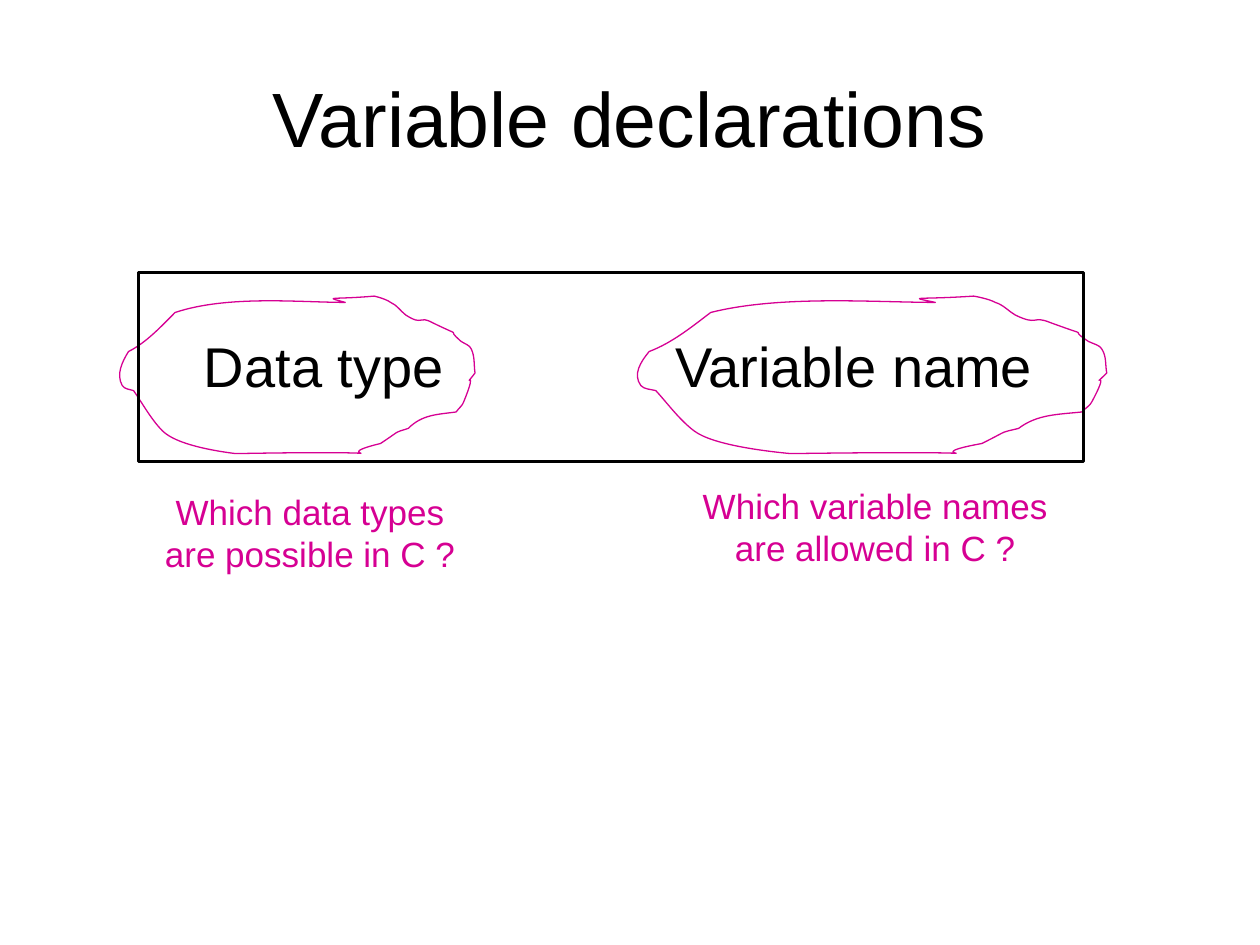
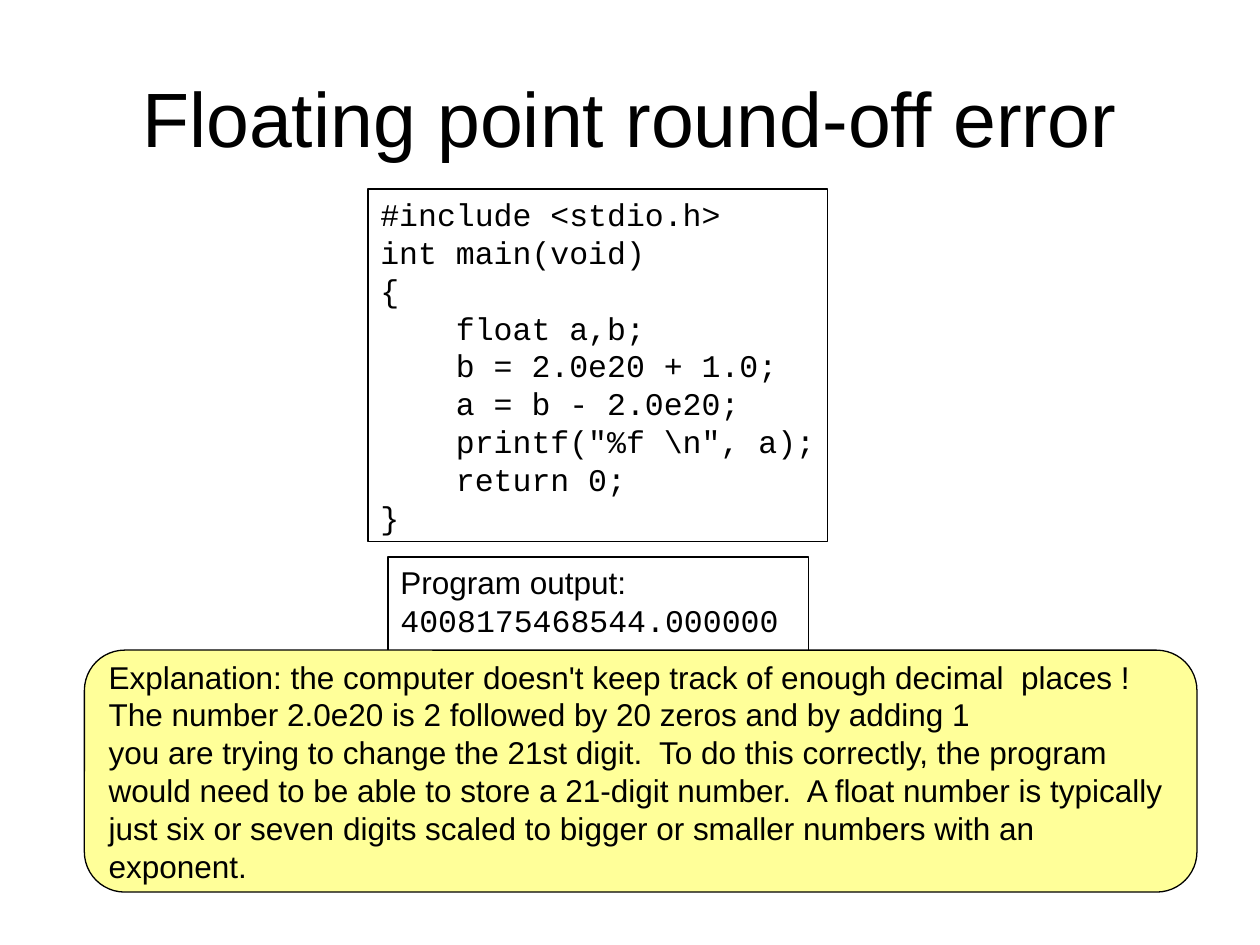
from lxml import etree
from pptx import Presentation
from pptx import util as u
from pptx.dml.color import RGBColor
from pptx.enum import shapes, text
from pptx.oxml import ns

COLORS = {"ink": "000000", "question": "D60093", "note": "FFFF99"}
SANS, MONO = "Arial", "Courier New"
TITLE_BOX = (0.5, 0.3, 9, 1.25)

# Slide 1
DECLARATION = "Data type\tVariable name"
DECLARATION_BOX = (1.52, 2.58, 7.42, 1.25)
NAME_TAB = 3.74
FRAME_BOX = (1.1, 2.16, 7.5, 1.5)
QUESTIONS = [
    (["Which data types ", "are possible in C ? "], (1.21, 3.84, 2.58, 0.77)),
    (["Which variable names ", "are allowed in C ? "], (5.48, 3.8, 3.01, 0.77)),
]
# Hand-drawn loop: start point, then (control, control, end) for each curve
LOOP_BOX = (0.92, 2.34, 2.9, 1.31)
LOOP_BOXES = [LOOP_BOX, (5.02, 2.34, 3.83, 1.31)]
LOOP_START = (2.74, 2.4)
LOOP_CURVES = [
    ((2.38, 2.4), (1.81, 2.34), (1.39, 2.48)),
    ((1.28, 2.59), (1.16, 2.72), (1.02, 2.79)),
    ((0.97, 2.87), (0.92, 2.97), (0.97, 3.06)),
    ((0.99, 3.09), (1.03, 3.09), (1.06, 3.1)),
    ((1.13, 3.2), (1.2, 3.33), (1.29, 3.42)),
    ((1.4, 3.53), (1.71, 3.58), (1.87, 3.6)),
    ((3.53, 3.57), (2.48, 3.65), (3.02, 3.52)),
    ((3.2, 3.4), (3.12, 3.44), (3.24, 3.4)),
    ((3.35, 3.29), (3.47, 3.29), (3.62, 3.27)),
    ((3.64, 3.24), (3.67, 3.22), (3.68, 3.19)),
    ((3.81, 2.87), (3.65, 3.12), (3.77, 2.96)),
    ((3.76, 2.9), (3.77, 2.83), (3.74, 2.77)),
    ((3.73, 2.74), (3.69, 2.73), (3.66, 2.71)),
    ((3.51, 2.58), (3.72, 2.7), (3.43, 2.56)),
    ((3.32, 2.5), (3.36, 2.59), (3.22, 2.5)),
    ((3.18, 2.47), (3.15, 2.42), (3.1, 2.4)),
    ((3.06, 2.37), (2.97, 2.35), (2.97, 2.35)),
    ((2.63, 2.38), (2.56, 2.35), (2.74, 2.4)),
]

# Slide 2
CODE = r"""#include <stdio.h>
int main(void)
{
    float a,b;
    b = 2.0e20 + 1.0;
    a = b - 2.0e20;
    printf("%f \n", a);
    return 0;
}""".split("\n")
CODE_BOX = (2.92, 1.5, 3.65, 2.8)
OUTPUT = ["Program output:", "4008175468544.000000"]
OUTPUT_BOX = (3.08, 4.42, 3.34, 1)
EXPLANATION = [
    "Explanation: the computer doesn't keep track of enough decimal  places ! "
    "The number 2.0e20 is 2 followed by 20 zeros and by adding 1",
    "you are trying to change the 21st digit.  To do this correctly, the program",
    "would need to be able to store a 21-digit number.  A float number is typically",
    "just six or seven digits scaled to bigger or smaller numbers with an exponent.",
]
EXPLANATION_BOX = (0.67, 5.16, 8.83, 1.92)


def inches(box):
    return [u.Inches(v) for v in box]


def rgb(name):
    return RGBColor.from_string(COLORS[name])


def write(sp, lines, size, fonts=(SANS,), color="ink", align="LEFT",
          anchor="TOP", wrap=True):
    """Fill sp with one paragraph per line; the last font serves the rest."""
    tf = sp.text_frame
    settings = {"word_wrap": wrap, "auto_size": text.MSO_AUTO_SIZE.NONE,
                "vertical_anchor": getattr(text.MSO_ANCHOR, anchor)}
    for key, value in settings.items():
        setattr(tf, key, value)
    for i, line in enumerate(lines):
        p = tf.paragraphs[0] if i == 0 else tf.add_paragraph()
        p.alignment = getattr(text.PP_ALIGN, align)
        r = p.add_run()
        r.text = line
        font = {"name": fonts[min(i, len(fonts) - 1)], "size": u.Pt(size)}
        for key, value in font.items():
            setattr(r.font, key, value)
        r.font.color.rgb = rgb(color)


def outline(sp, color, width, fill=None):
    sp.shadow.inherit = False
    sp.line.color.rgb = rgb(color)
    sp.line.width = u.Pt(width)
    if fill:
        sp.fill.solid()
        sp.fill.fore_color.rgb = rgb(fill)
    else:
        sp.fill.background()


def add_box(slide, box, width=0.75, fill=None, kind="RECTANGLE"):
    sp = slide.shapes.add_shape(getattr(shapes.MSO_SHAPE, kind), *inches(box))
    outline(sp, "ink", width, fill)
    return sp


def add_titled_slide(prs, title):
    slide = prs.slides.add_slide(prs.slide_layouts[5])
    sp = slide.shapes.title
    sp.left, sp.top, sp.width, sp.height = inches(TITLE_BOX)
    write(sp, [title], 44, align="CENTER", anchor="MIDDLE")
    return slide


def bend_segments(sp):
    """Turn each three line segments of a freeform into one Bezier curve."""
    segments = list(sp._element.iter(ns.qn("a:lnTo")))
    for i in range(0, len(segments), 3):
        curve = etree.Element(ns.qn("a:cubicBezTo"))
        segments[i].addprevious(curve)
        for segment in segments[i:i + 3]:
            curve.append(segment[0])
            segment.getparent().remove(segment)


def add_loop(slide, box):
    """Draw the loop stretched from LOOP_BOX to box."""
    x0, y0, w0, h0 = LOOP_BOX
    x, y, w, h = box
    points = [LOOP_START] + [point for curve in LOOP_CURVES for point in curve]
    start, *rest = [(u.Inches(x + (px - x0) * w / w0), u.Inches(y + (py - y0) * h / h0))
                    for px, py in points]
    builder = slide.shapes.build_freeform(*start)
    builder.add_line_segments(rest, close=True)
    sp = builder.convert_to_shape()
    bend_segments(sp)
    outline(sp, "question", 0.75)


def add_tab_stop(p, position):
    tabs = etree.SubElement(p._p.get_or_add_pPr(), ns.qn("a:tabLst"))
    etree.SubElement(tabs, ns.qn("a:tab"), pos=str(u.Inches(position)), algn="l")


def build_declarations(prs):
    slide = add_titled_slide(prs, "Variable declarations")
    sp = slide.shapes.add_textbox(*inches(DECLARATION_BOX))
    write(sp, [DECLARATION], 32)
    add_tab_stop(sp.text_frame.paragraphs[0], NAME_TAB)
    for (lines, box), loop_box in zip(QUESTIONS, LOOP_BOXES):
        add_loop(slide, loop_box)
        sp = slide.shapes.add_textbox(*inches(box))
        write(sp, lines, 20, color="question", align="CENTER", wrap=False)
    add_box(slide, FRAME_BOX, 1.75)


def build_round_off(prs):
    slide = add_titled_slide(prs, "Floating point round-off error")
    write(add_box(slide, CODE_BOX), CODE, 18, (MONO,), wrap=False)
    write(add_box(slide, OUTPUT_BOX), OUTPUT, 18, (SANS, MONO), wrap=False)
    sp = add_box(slide, EXPLANATION_BOX, fill="note", kind="ROUNDED_RECTANGLE")
    write(sp, EXPLANATION, 18, anchor="MIDDLE")


def main():
    prs = Presentation()
    prs.slide_width, prs.slide_height = u.Inches(10), u.Inches(7.5)
    build_declarations(prs)
    build_round_off(prs)
    prs.save("out.pptx")


if __name__ == "__main__":
    main()
